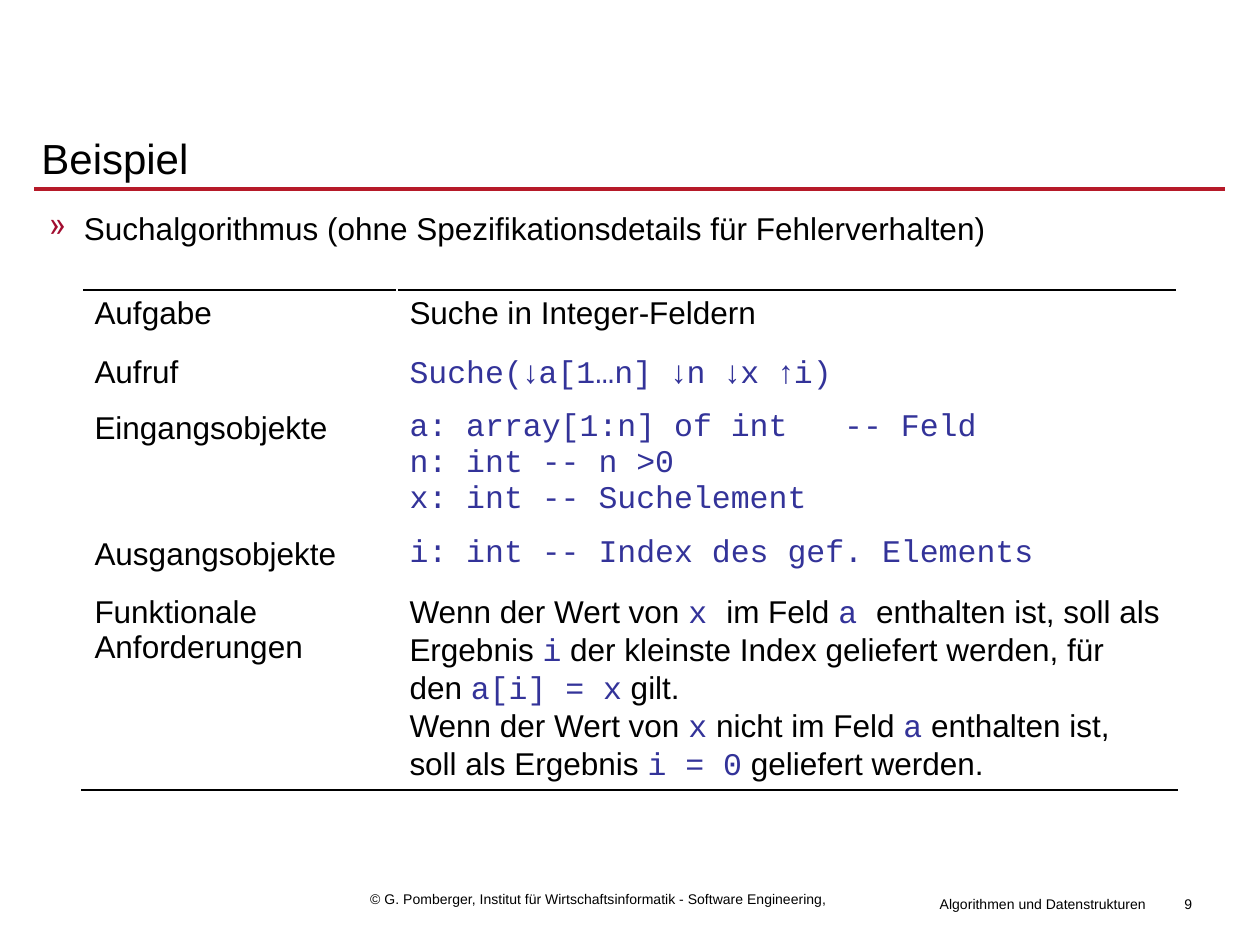
from lxml.etree import SubElement
from pptx import Presentation
from pptx.dml.color import RGBColor
from pptx.enum.shapes import MSO_CONNECTOR
from pptx.enum.text import MSO_ANCHOR, PP_ALIGN
from pptx.oxml.ns import qn
from pptx.util import Pt

BLACK = RGBColor(0x00, 0x00, 0x00)
RULE_RED = RGBColor(0xB6, 0x1A, 0x29)
BULLET_RED = RGBColor(0xA2, 0x0D, 0x30)
CODE_BLUE = RGBColor(0x33, 0x33, 0x99)


def add_text(page, left, top, width, height, text, size):
    box = page.shapes.add_textbox(Pt(left), Pt(top), Pt(width), Pt(height))
    box.text_frame.word_wrap = True
    paragraph = box.text_frame.paragraphs[0]
    paragraph.text = text
    paragraph.font.name = "Arial"
    paragraph.font.size = Pt(size)
    paragraph.font.color.rgb = BLACK
    return box


def add_marked_text(paragraph, text):
    """Write text whose parts between backticks are code; arrows in code stay in Arial."""
    for index, part in enumerate(text.split("`")):
        is_code = index % 2 == 1
        spaced = part
        for arrow in "↓↑":
            spaced = spaced.replace(arrow, f"|{arrow}|")
        for piece in filter(None, spaced.split("|")):
            for number, line in enumerate(piece.split("\n")):
                if number:
                    paragraph.add_line_break()
                span = paragraph.add_run()
                span.text = line
                span.font.size = Pt(18)
                span.font.name = "Courier New" if is_code and piece not in "↓↑" else "Arial"
                span.font.color.rgb = CODE_BLUE if is_code else BLACK


deck = Presentation()
deck.slide_width, deck.slide_height = Pt(720), Pt(540)
page = deck.slides.add_slide(deck.slide_layouts[6])

# Footer
number_box = add_text(page, 649.4, 508.3, 38.9, 17.3, "9", 8)
number_box.text_frame.paragraphs[0].alignment = PP_ALIGN.RIGHT
add_text(page, 529.9, 508.3, 136.1, 17.3, "Algorithmen und Datenstrukturen", 8)
add_text(page, 204.5, 505.4, 277.9, 17.3,
         "© G. Pomberger, Institut für Wirtschaftsinformatik - Software Engineering,", 8)

# Title and rule
title = add_text(page, 16.6, 62.6, 686.2, 54.7, "Beispiel", 24)
title.text_frame.vertical_anchor = MSO_ANCHOR.MIDDLE
rule = page.shapes.add_connector(MSO_CONNECTOR.STRAIGHT, Pt(19.5), Pt(108), Pt(700), Pt(108))
rule.line.color.rgb = RULE_RED
rule.line.width = Pt(1.75)
SubElement(rule._element.spPr, qn("a:effectLst"))

# Bullet
body = add_text(page, 20.9, 115.9, 658.8, 382.3,
                "Suchalgorithmus (ohne Spezifikationsdetails für Fehlerverhalten)", 18)
properties = body.text_frame.paragraphs[0]._p.get_or_add_pPr()
properties.set("marL", str(Pt(20)))
properties.set("indent", str(Pt(-20)))
bullet_color = SubElement(properties, qn("a:buClr"))
SubElement(bullet_color, qn("a:srgbClr"), val=str(BULLET_RED))
SubElement(properties, qn("a:buChar"), char="»")
# The schema wants the bullet before the default run properties
properties.append(properties.find(qn("a:defRPr")))

# Specification table: row height, label, paragraphs
ROWS = [
    (33.8, "Aufgabe", ["Suche in Integer-Feldern"]),
    (31.7, "Aufruf", ["`Suche(↓a[1…n] ↓n ↓x ↑i)`"]),
    (72, "Eingangsobjekte", ["`a: array[1:n] of int   -- Feld`",
                             "`n: int -- n >0`",
                             "`x: int -- Suchelement`"]),
    (33.1, "Ausgangsobjekte", ["`i: int -- Index des gef. Elements`"]),
    (115.2, "Funktionale Anforderungen", [
        "Wenn der Wert von `x `im Feld `a `enthalten ist, soll als Ergebnis `i` der kleinste "
        "Index geliefert werden, für den `a[i] = x` gilt.\nWenn der Wert von `x` nicht im Feld "
        "`a` enthalten ist, soll als Ergebnis `i = 0` geliefert werden."]),
]
COLUMN_WIDTHS = [180, 445.9]

table = page.shapes.add_table(len(ROWS), 2, Pt(46.8), Pt(165.6), Pt(sum(COLUMN_WIDTHS)),
                              Pt(sum(row[0] for row in ROWS))).table
table.first_row = table.horz_banding = False
for column, width in zip(table.columns, COLUMN_WIDTHS):
    column.width = Pt(width)

borders = {0: "a:lnT", len(ROWS) - 1: "a:lnB"}
for row, (height, label, lines) in enumerate(ROWS):
    table.rows[row].height = Pt(height)
    for column, texts in enumerate(([label], lines)):
        cell = table.cell(row, column)
        frame = cell.text_frame
        for index, text in enumerate(texts):
            paragraph = frame.add_paragraph() if index else frame.paragraphs[0]
            add_marked_text(paragraph, text)
        if row in borders:
            border = SubElement(cell._tc.get_or_add_tcPr(), qn(borders[row]), w=str(Pt(1.08)))
            border_fill = SubElement(border, qn("a:solidFill"))
            SubElement(border_fill, qn("a:srgbClr"), val=str(BLACK))
        cell.fill.background()

deck.save("out.pptx")
